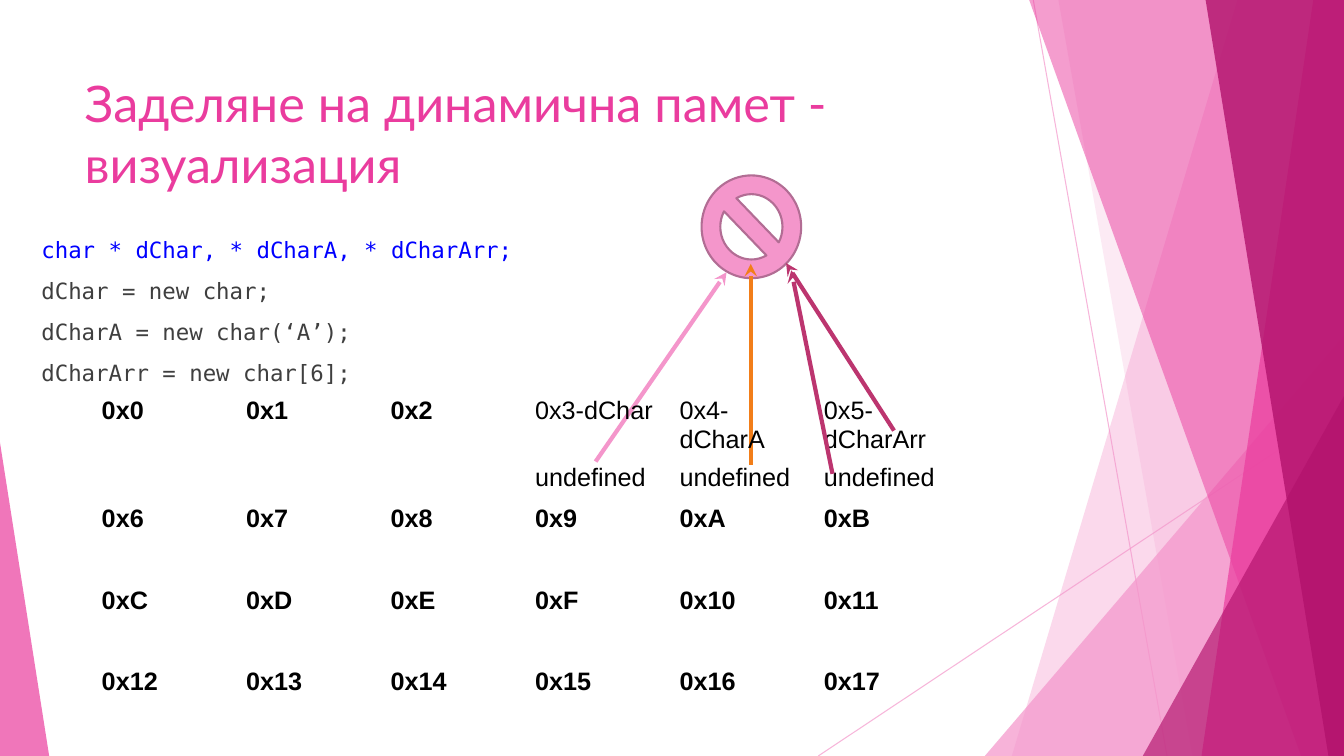
from lxml import etree
from pptx import Presentation
from pptx import util as u
from pptx.dml.color import RGBColor
from pptx.enum import shapes, text
from pptx.oxml.ns import qn

PINK, MAGENTA, PLUM = "F496CB", "EA3C9E", "B2126C"
W, H = 33.87, 19.05


def paint(fill, color, opacity=100):
    fill.solid()
    fill.fore_color.rgb = RGBColor.from_string(color)
    if opacity < 100:
        clr = fill._xPr.xpath("a:solidFill/a:srgbClr")[0]
        etree.SubElement(clr, qn("a:alpha")).set("val", str(opacity * 1000))


def add_line(start, end, color, width, opacity=100, arrow=False):
    cx = s.shapes.add_connector(shapes.MSO_CONNECTOR.STRAIGHT,
                                *[u.Cm(v) for v in start + end])
    cx.line.width = u.Pt(width)
    paint(cx.line.fill, color, opacity)
    if arrow:
        etree.SubElement(cx.line._get_or_add_ln(), qn("a:tailEnd")).set("type", "stealth")
    etree.SubElement(cx._element.spPr, qn("a:effectLst"))


prs = Presentation()
prs.slide_width, prs.slide_height = u.Cm(W), u.Cm(H)
s = prs.slides.add_slide(prs.slide_layouts[1])

# Thin background lines
add_line((26.04, 0), (29.41, H), PINK, 0.75, 70)
add_line((W, 10.24), (20.62, H), PINK, 0.75, 70)

# Background facets: bands give top and bottom x, triangles give box and apex
facets = [
    ("band", (31.19, 25.5), PINK, 36),
    ("band", (26.67, 30.05), PINK, 20),
    ("triangle", (24.82, 8.46, 9.05, 10.59, 1), PINK, 72),
    ("band", (25.93, 32.79), MAGENTA, 50),
    ("band", (33.1, 30.28), MAGENTA, 70),
    ("band", (30.38, 33.48), PLUM, 80),
    ("triangle", (28.8, 9.98, 5.07, 9.07, 1), PLUM, 66),
    ("triangle", (0, 11.15, 1.24, 7.9, 0), MAGENTA, 70),
]
for kind, geometry, color, opacity in facets:
    if kind == "band":
        top_x, bottom_x = geometry
        fb = s.shapes.build_freeform(u.Cm(top_x), u.Cm(-0.02))
        fb.add_line_segments([(u.Cm(x), u.Cm(y)) for x, y in
                              [(W, -0.02), (W, H), (bottom_x, H)]])
        sp = fb.convert_to_shape()
    else:
        *box, apex = geometry
        sp = s.shapes.add_shape(shapes.MSO_SHAPE.ISOSCELES_TRIANGLE,
                                *[u.Cm(v) for v in box])
        sp.adjustments[0] = apex
    sp.shadow.inherit = False
    paint(sp.fill, color, opacity)
    sp.line.fill.background()

# Title and code placeholders, in front of the facets
title, code = s.shapes.title, s.placeholders[1]
blocks = [
    (title, (1.88, 1.7, 23.88, 3.66), "Lato", 36,
     [("Заделяне на динамична памет - визуализация", MAGENTA)]),
    (code, (-0.48, 5.82, 32.84, 14.78), "DejaVu Sans Mono", 16,
     [("char * dChar, * dCharA, * dCharArr;", "0000FF"),
      ("dChar = new char;", "3F3F3F"),
      ("dCharA = new char(‘A’);", "3F3F3F"),
      ("dCharArr = new char[6];", "3F3F3F")]),
]
for ph, box, font, size, lines in blocks:
    s.shapes._spTree.append(ph._element)
    ph.left, ph.top, ph.width, ph.height = [u.Cm(v) for v in box]
    tf = ph.text_frame
    tf.word_wrap = True
    tf.auto_size = text.MSO_AUTO_SIZE.NONE
    tf.vertical_anchor = text.MSO_ANCHOR.TOP
    for i, (line, color) in enumerate(lines):
        p = tf.add_paragraph() if i else tf.paragraphs[0]
        p.alignment = text.PP_ALIGN.LEFT
        p.space_before = u.Pt(10 if i else 0)
        if ph is code:
            p.level = 1
            pPr = p._p.get_or_add_pPr()
            pPr.set("marL", str(u.Cm(1.27)))
            pPr.set("indent", "0")
            etree.SubElement(pPr, qn("a:buNone"))
        r = p.add_run()
        r.text = line
        r.font.name, r.font.size = font, u.Pt(size)
        paint(r.font.fill, color)

# Null sign
sp = s.shapes.add_shape(shapes.MSO_SHAPE.NO_SYMBOL, u.Cm(17.68), u.Cm(4.42),
                        u.Cm(2.51), u.Cm(2.59))
sp.rotation = 180
sp.adjustments[0] = 0.188
sp.shadow.inherit = False
paint(sp.fill, PINK)
paint(sp.line.fill, "B26D94")
sp.line.width = u.Pt(1.5)

# Pointer arrows behind the table
for start, end, color in [((15.01, 11.63), (18.31, 6.86), PINK),
                          ((18.92, 11.71), (18.92, 6.65), "F27E19"),
                          ((22.53, 10.85), (19.81, 6.63), "BC356F")]:
    add_line(start, end, color, 3, arrow=True)

# Memory table: rows of addresses alternate with rows of values
pointers = {3: "dChar", 4: "dCharA", 5: "dCharArr"}
widths = [3.64] * 5 + [4.04]
table = s.shapes.add_table(8, 6, u.Cm(2.31), u.Cm(9.88),
                           u.Cm(sum(widths)), u.Cm(8 * 1.03)).table
table.first_row = table.horz_banding = False
table._tbl.tblPr.find(qn("a:tableStyleId")).text = "{2D5ABB26-0587-4C30-8999-92F81FD0307C}"
for col, width in zip(table.columns, widths):
    col.width = u.Cm(width)
for row in range(8):
    table.rows[row].height = u.Cm(1.03)
    for col in range(6):
        cell = table.cell(row, col)
        cell.fill.background()
        address = row // 2 * 6 + col
        pointer = pointers.get(address)
        if row % 2 == 0:
            label = f"0x{address:X}" + (f"-{pointer}" if pointer else "")
        elif pointer:
            label = "undefined"
        else:
            continue
        r = cell.text_frame.paragraphs[0].add_run()
        r.text = label
        r.font.name, r.font.size = "Arial", u.Pt(18)
        r.font.bold = pointer is None
        paint(r.font.fill, "000000")

# Pointer arrow in front of the table
add_line((20.98, 11.94), (19.94, 6.81), "BC356F", 3, arrow=True)

prs.save("out.pptx")
